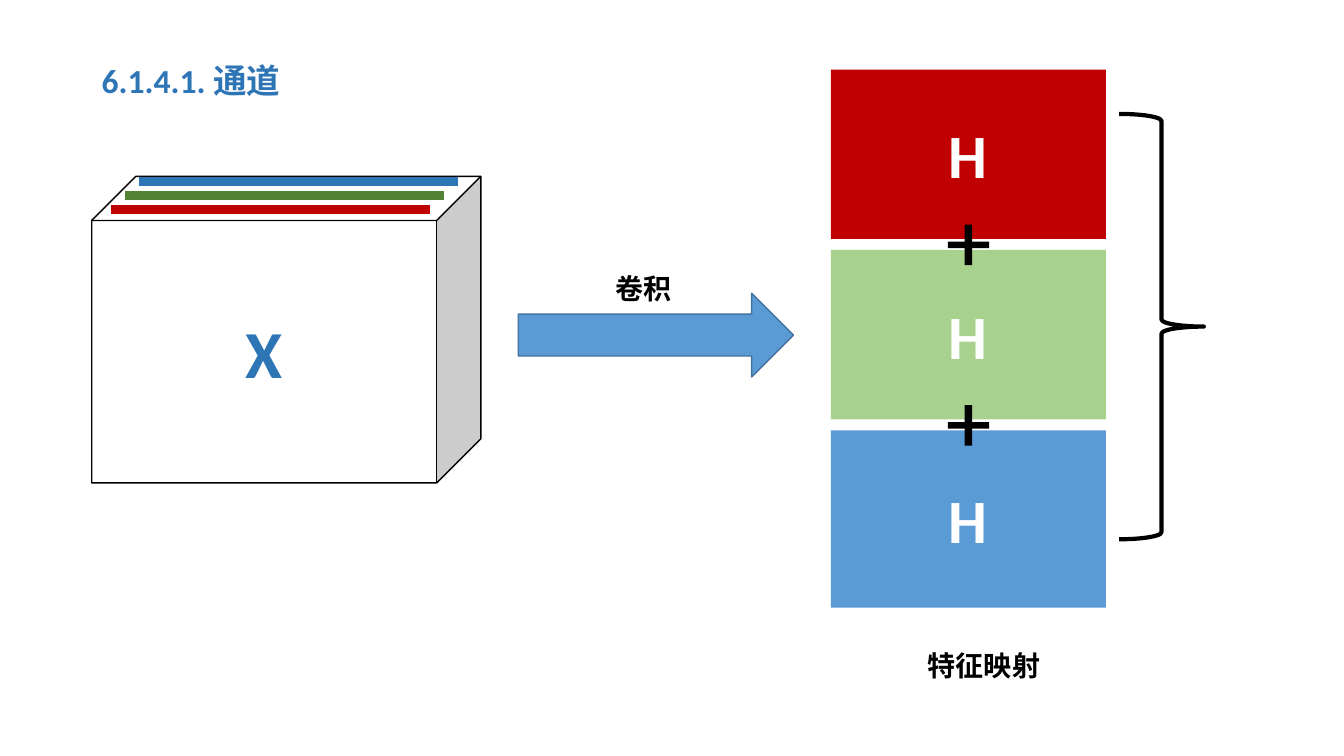
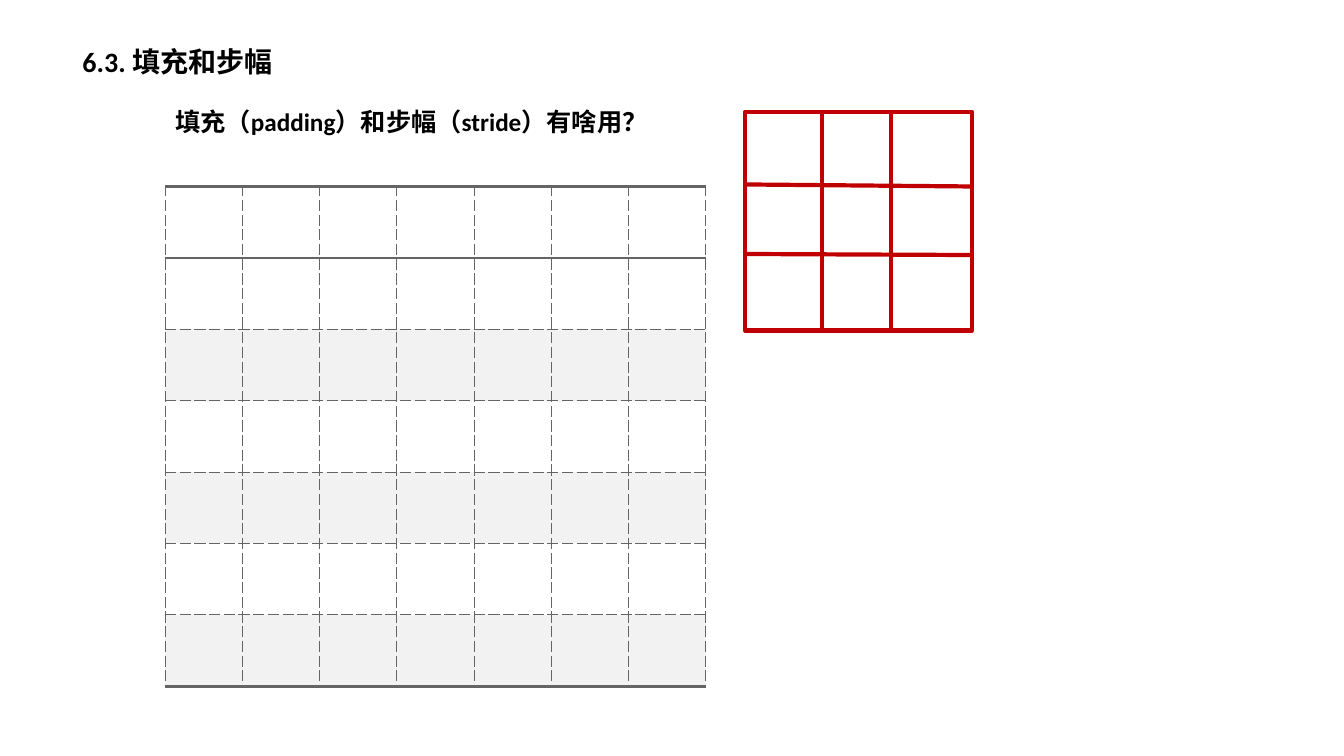
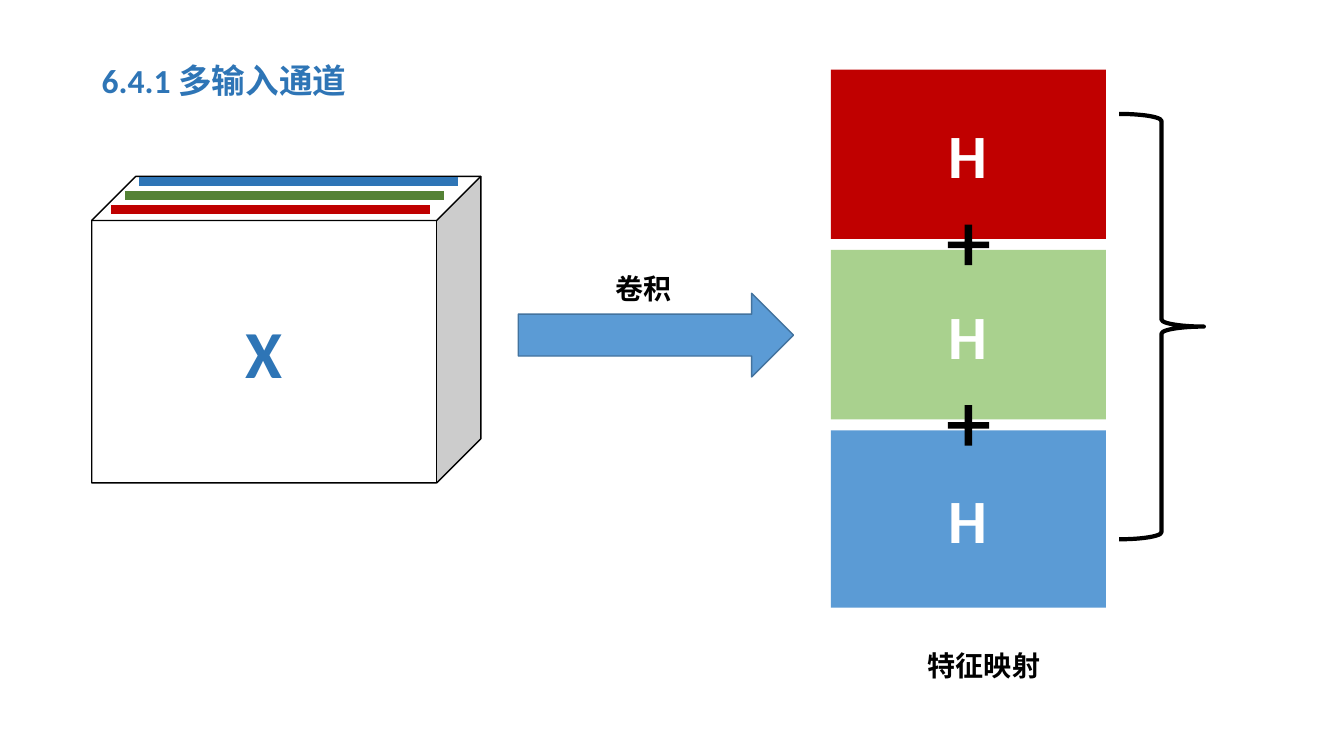
from pptx import Presentation
from pptx.dml.color import RGBColor
from pptx.enum.lang import MSO_LANGUAGE_ID
from pptx.enum.shapes import MSO_CONNECTOR, MSO_SHAPE
from pptx.enum.text import MSO_ANCHOR, MSO_AUTO_SIZE, PP_ALIGN
from pptx.oxml.ns import qn
from pptx.util import Emu, Pt
from lxml.etree import SubElement

PX = 9144  # 100 px to the inch
FONT = "Calibri"
BLACK, WHITE = "000000", "FFFFFF"
RED, GREEN, BLUE = "C00000", "548235", "2E75B6"
LIGHT_GREEN, LIGHT_BLUE, ARROW_EDGE = "A9D18E", "5B9BD5", "43739E"
GRID, BAND = "646464", "F2F2F2"


def px(length):
    return Emu(length * PX)


def rgb(color):
    return RGBColor.from_string(color)


def write(frame, text, size, color, align):
    paragraph = frame.paragraphs[0]
    paragraph.alignment = align
    run = paragraph.add_run()
    run.text = text
    font = run.font
    font.name, font.size, font.bold = FONT, Pt(size), True
    font.color.rgb = rgb(color)
    font.language_id = MSO_LANGUAGE_ID.SIMPLIFIED_CHINESE


def add_label(slide, box, text, size=20, color=BLACK, align=PP_ALIGN.LEFT, grow=True):
    frame = slide.shapes.add_textbox(*map(px, box)).text_frame
    frame.word_wrap = True
    frame.auto_size = MSO_AUTO_SIZE.SHAPE_TO_FIT_TEXT if grow else MSO_AUTO_SIZE.NONE
    write(frame, text, size, color, align)


def add_figure(shapes, kind, box, fill=None, edge=None, weight=1, adjust=None):
    figure = shapes.add_shape(kind, *map(px, box))
    figure.shadow.inherit = False
    if fill:
        figure.fill.solid()
        figure.fill.fore_color.rgb = rgb(fill)
    else:
        figure.fill.background()
    if edge:
        figure.line.color.rgb = rgb(edge)
        figure.line.width = Pt(weight)
    else:
        figure.line.fill.background()
    if adjust is not None:
        figure.adjustments[0] = adjust
    return figure


def add_caption(figure, text, size, color):
    figure.text_frame.vertical_anchor = MSO_ANCHOR.MIDDLE
    write(figure.text_frame, text, size, color, PP_ALIGN.CENTER)


def add_line(shapes, start, end, color, weight):
    line = shapes.add_connector(MSO_CONNECTOR.STRAIGHT, *map(px, start + end))
    line.line.color.rgb = rgb(color)
    line.line.width = Pt(weight)
    SubElement(line._element.spPr, qn("a:effectLst"))


def add_border(cell, side, weight, dash):
    border = SubElement(cell._tc.get_or_add_tcPr(), qn(f"a:ln{side}"), w=str(Pt(weight)))
    fill = SubElement(border, qn("a:solidFill"))
    SubElement(fill, qn("a:srgbClr"), val=GRID)
    SubElement(border, qn("a:prstDash"), val=dash)


def add_input_grid(slide, box, count):
    """Dashed square table with heavy rules around the first row and below the last."""
    table = slide.shapes.add_table(count, count, *map(px, box)).table
    table.first_row = table.horz_banding = False
    heavy, light = (2.25, "solid"), (0.75, "sysDash")
    for row_index, row in enumerate(table.rows):
        top = heavy if row_index < 2 else light
        bottom = heavy if row_index in (0, count - 1) else light
        banded = row_index > 0 and row_index % 2 == 0
        for cell in row.cells:
            for side, style in (("L", light), ("R", light), ("T", top), ("B", bottom)):
                add_border(cell, side, *style)
            cell.fill.solid()
            cell.fill.fore_color.rgb = rgb(BAND if banded else WHITE)


def add_kernel(slide):
    kernel = slide.shapes.add_group_shape().shapes
    left, top, width, height = 739, 111, 225, 217
    add_figure(kernel, MSO_SHAPE.RECTANGLE, (left, top, width, height), edge=RED, weight=3)
    for y_left, y_right in ((183, 185), (252, 253)):
        add_line(kernel, (left, y_left), (left + width, y_right), RED, 3)
    for x in (815, 884):
        add_line(kernel, (x, top), (x, top + height), RED, 3)


def add_input_cube(slide):
    cube = add_figure(slide.shapes, MSO_SHAPE.CUBE, (91, 175, 386, 304), WHITE, BLACK, adjust=0.144)
    add_caption(cube, "X", 48, BLUE)
    step = 14
    for depth, color in enumerate((RED, GREEN, BLUE)):
        x, y = 110 + step * depth, 208 - step * depth
        add_line(slide.shapes, (x, y), (x + 316, y), color, 6)


def add_feature_maps(slide):
    pitch, top = 179, 69
    for index, (color, height) in enumerate(((RED, 168), (LIGHT_GREEN, 168), (LIGHT_BLUE, 176))):
        feature_map = add_figure(slide.shapes, MSO_SHAPE.RECTANGLE,
                                 (824, top + pitch * index, 273, height), color)
        add_caption(feature_map, "H", 44, WHITE)
    for gap in range(2):
        add_figure(slide.shapes, MSO_SHAPE.CROSS, (940, 223 + pitch * gap, 41, 40), BLACK, adjust=0.419)
    add_figure(slide.shapes, MSO_SHAPE.RIGHT_BRACE, (1110, 113, 84, 422), edge=BLACK, weight=3)
    add_label(slide, (804, 638, 344, 44), "特征映射", align=PP_ALIGN.CENTER)


def build_channel_slide(slide, title):
    add_label(slide, (91, 55, 667, 50), title, 24, BLUE)
    add_input_cube(slide)
    add_figure(slide.shapes, MSO_SHAPE.RIGHT_ARROW, (514, 291, 273, 83), LIGHT_BLUE, ARROW_EDGE)
    add_label(slide, (558, 264, 160, 44), "卷积", align=PP_ALIGN.CENTER)
    add_feature_maps(slide)


def build_padding_slide(slide):
    add_label(slide, (72, 39, 667, 44), "6.3. 填充和步幅")
    add_label(slide, (164, 101, 985, 84), "填充（padding）和步幅（stride）有啥用？", 18, grow=False)
    add_input_grid(slide, (164, 185, 536, 496), 7)
    add_kernel(slide)


def main():
    deck = Presentation()
    deck.slide_width, deck.slide_height = px(1333), px(750)
    blank = deck.slide_layouts[6]
    build_channel_slide(deck.slides.add_slide(blank), "6.1.4.1. 通道")
    build_padding_slide(deck.slides.add_slide(blank))
    build_channel_slide(deck.slides.add_slide(blank), "6.4.1 多输入通道")
    deck.save("out.pptx")


if __name__ == "__main__":
    main()
